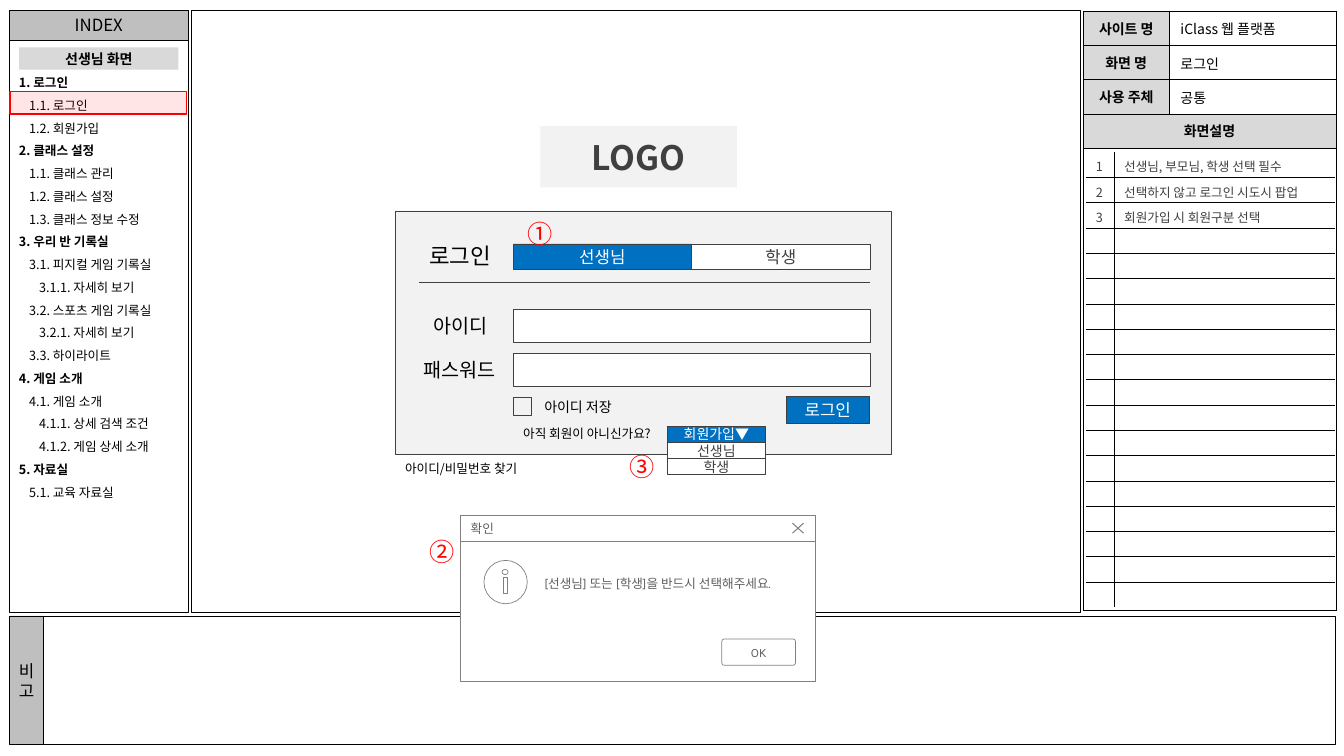
from dataclasses import dataclass
from typing import Optional

from lxml import etree
from pptx import Presentation
from pptx import util as u
from pptx.dml import color as dml
from pptx.enum import shapes, text
from pptx.oxml import ns

COLORS = {
    "black": "000000", "white": "FFFFFF", "red": "FF0000", "blue": "0070C0",
    "ink": "404040", "soft_ink": "5F5F5F", "edge": "808080",
    "bar": "BFBFBF", "head": "D9D9D9", "panel": "F2F2F2",
}
NOTO, KARLA = "Noto Sans CJK KR", "Karla"
RECT, OVAL = shapes.MSO_SHAPE.RECTANGLE, shapes.MSO_SHAPE.OVAL
ROUND = shapes.MSO_SHAPE.ROUNDED_RECTANGLE
LEFT, CENTER = text.PP_ALIGN.LEFT, text.PP_ALIGN.CENTER
TOP, MIDDLE = text.MSO_ANCHOR.TOP, text.MSO_ANCHOR.MIDDLE


@dataclass
class Words:
    content: str
    size: float = 10
    color: str = "black"
    bold: bool = False
    align: int = CENTER
    font: str = NOTO


@dataclass
class Panel:
    at: tuple
    fill: Optional[str] = None
    line: Optional[str] = None
    width: float = 0.5
    words: Optional[Words] = None
    kind: int = RECT
    right_inset: float = 0.1


@dataclass
class Label:
    at: tuple
    words: Words
    wrap: bool = False
    anchor: int = TOP


def rgb(name: str) -> dml.RGBColor:
    return dml.RGBColor.from_string(COLORS[name])


def write(paragraph, words: Words) -> None:
    paragraph.alignment = words.align
    run = paragraph.add_run()
    run.text = words.content
    formats = {"size": u.Pt(words.size), "bold": words.bold, "name": words.font}
    for attribute, value in formats.items():
        setattr(run.font, attribute, value)
    run.font.color.rgb = rgb(words.color)
    east_asian = etree.SubElement(run.font._element, ns.qn("a:ea"))
    east_asian.set("typeface", words.font)


def paint(shape, fill: Optional[str], line: Optional[str], width: float) -> None:
    shape.shadow.inherit = False
    if fill:
        shape.fill.solid()
        shape.fill.fore_color.rgb = rgb(fill)
    else:
        shape.fill.background()
    if line:
        shape.line.color.rgb = rgb(line)
        shape.line.width = u.Pt(width)
    else:
        shape.line.fill.background()


def draw_panel(slide, panel: Panel):
    shape = slide.shapes.add_shape(panel.kind, *map(u.Inches, panel.at))
    paint(shape, panel.fill, panel.line, panel.width)
    if panel.words:
        frame = shape.text_frame
        frame.word_wrap = True
        frame.vertical_anchor = MIDDLE
        frame.margin_right = u.Inches(panel.right_inset)
        write(frame.paragraphs[0], panel.words)
    return shape


def draw_label(slide, label: Label) -> None:
    frame = slide.shapes.add_textbox(*map(u.Inches, label.at)).text_frame
    frame.word_wrap = label.wrap
    frame.vertical_anchor = label.anchor
    if not label.wrap:
        frame.auto_size = text.MSO_AUTO_SIZE.SHAPE_TO_FIT_TEXT
    write(frame.paragraphs[0], label.words)


def fill_cell(cell, fill: Optional[str], sides: str, words: Optional[Words]) -> None:
    if words:
        write(cell.text_frame.paragraphs[0], words)
    else:
        ending = etree.SubElement(cell.text_frame.paragraphs[0]._p, ns.qn("a:endParaRPr"))
        ending.set("sz", "900")
    properties = cell._tc.get_or_add_tcPr()
    for side in "LRTB":
        border = etree.SubElement(properties, ns.qn(f"a:ln{side}"), w=str(u.Pt(0.5)))
        if side in sides:
            solid = etree.SubElement(border, ns.qn("a:solidFill"))
            etree.SubElement(solid, ns.qn("a:srgbClr"), val=COLORS["black"])
        else:
            etree.SubElement(border, ns.qn("a:noFill"))
    if fill:
        cell.fill.solid()
        cell.fill.fore_color.rgb = rgb(fill)
    else:
        cell.fill.background()


def add_grid(slide, at: tuple, columns: list, rows: list):
    grid = slide.shapes.add_table(len(rows), len(columns), *map(u.Inches, at)).table
    grid.first_row = grid.horz_banding = False
    for column, width in zip(grid.columns, columns):
        column.width = u.Inches(width)
    for row, height in zip(grid.rows, rows):
        row.height = u.Inches(height)
    return grid


def draw_site_table(slide) -> None:
    grid = add_grid(slide, (10.74, 0.11, 2.51, 5.95), [0.86, 1.65], [0.34] * 4 + [4.59])
    for row in (3, 4):
        grid.cell(row, 0).merge(grid.cell(row, 1))
    for row, heading in enumerate(["사이트 명", "화면 명", "사용 주체", "화면설명", ""]):
        words = Words(heading, bold=True) if heading else None
        fill_cell(grid.cell(row, 0), "head" if heading else None, "LRTB", words)
        fill_cell(grid.cell(row, 1), None, "LRTB", None)
        grid.cell(row, 0).vertical_anchor = MIDDLE


def draw_notes_table(slide) -> None:
    notes = ["선생님, 부모님, 학생 선택 필수", "선택하지 않고 로그인 시도시 팝업", "회원가입 시 회원구분 선택"]
    count = 18
    grid = add_grid(slide, (10.77, 1.51, 2.47, 4.5), [0.28, 2.19], [0.25] * count)
    for row in range(count):
        pair = (str(row + 1), notes[row]) if row < len(notes) else ("", "")
        rule = ("T" if row else "") + ("B" if row < count - 1 else "")
        for column, content in enumerate(pair):
            words = Words(content, 9, "ink", align=LEFT) if content else None
            fill_cell(grid.cell(row, column), "white", rule + "RL"[column], words)


def draw_index(slide) -> None:
    entries = [
        "1. 로그인", "1.1. 로그인", "1.2. 회원가입", "2. 클래스 설정", "1.1. 클래스 관리",
        "1.2. 클래스 설정", "1.3. 클래스 정보 수정", "3. 우리 반 기록실", "3.1. 피지컬 게임 기록실",
        "3.1.1. 자세히 보기", "3.2. 스포츠 게임 기록실", "3.2.1. 자세히 보기", "3.3. 하이라이트",
        "4. 게임 소개", "4.1. 게임 소개", "4.1.1. 상세 검색 조건", "4.1.2. 게임 상세 소개",
        "5. 자료실", "5.1. 교육 자료실",
    ]
    frame = slide.shapes.add_textbox(*map(u.Inches, (0.09, 0.4, 1.93, 5.68))).text_frame
    frame.word_wrap = True
    frame.margin_top = u.Inches(0.27)
    for position, entry in enumerate(entries):
        paragraph = frame.add_paragraph() if position else frame.paragraphs[0]
        depth = entry.split()[0].count(".") - 1
        paragraph.line_spacing = 1.5
        indent = paragraph._p.get_or_add_pPr()
        indent.set("marL", str(u.Inches(0.1 * depth)))
        indent.set("indent", "0")
        write(paragraph, Words(entry, 9, bold=depth == 0, align=LEFT))


def draw_close_mark(slide) -> None:
    left, top, right, bottom = map(u.Inches, (7.86, 5.19, 7.97, 5.29))
    builder = slide.shapes.build_freeform(right, top)
    builder.add_line_segments([(left, bottom)], close=False)
    builder.move_to(left, top)
    builder.add_line_segments([(right, bottom)], close=False)
    paint(builder.convert_to_shape(), None, "edge", 0.75)


def draw_all(slide, parts: list) -> None:
    for part in parts:
        (draw_panel if isinstance(part, Panel) else draw_label)(slide, part)


def main() -> None:
    deck = Presentation()
    deck.slide_width, deck.slide_height = u.Inches(13.33), u.Inches(7.5)
    slide = deck.slides.add_slide(deck.slide_layouts[6])

    # Page frame, index and site details
    draw_panel(slide, Panel((1.9, 0.1, 8.82, 5.98), line="black"))
    draw_site_table(slide)
    draw_all(slide, [
        Panel((0.09, 0.1, 1.78, 5.98), line="black"),
        Panel((0.09, 6.11, 13.15, 1.28), line="black"),
        Panel((0.09, 0.1, 1.78, 0.3), "bar", "black", words=Words("INDEX", 12)),
        Panel((0.09, 6.11, 0.34, 1.28), "bar", "black", words=Words("비고", 12)),
    ])
    draw_index(slide)
    draw_all(slide, [
        Panel((0.19, 0.47, 1.58, 0.22), "head", words=Words("선생님 화면", bold=True)),
        Label((11.61, 0.15, 1.22, 0.27), Words("iClass 웹 플랫폼", align=LEFT)),
        Label((11.61, 0.48, 1.63, 0.31), Words("로그인", align=LEFT), True, MIDDLE),
        Label((11.61, 0.82, 1.63, 0.31), Words("공통", align=LEFT), True, MIDDLE),
        # Login form
        Panel((5.36, 1.25, 1.95, 0.61), "panel", words=Words("LOGO", 24, "ink", True)),
        Panel((3.92, 2.09, 4.92, 2.42), "panel", "ink", 0.25),
        Label((4.16, 2.35, 0.88, 0.37), Words("로그인", 16, align=LEFT)),
        Label((4.2, 3.07, 0.79, 0.34), Words("아이디", 14, align=LEFT)),
        Label((4.1, 3.5, 0.99, 0.34), Words("패스워드", 14, align=LEFT)),
        Panel((5.09, 3.07, 3.54, 0.33), "white", "ink", 0.25),
        Panel((5.09, 3.5, 3.54, 0.33), "white", "ink", 0.25),
        Panel((5.09, 3.94, 0.18, 0.18), None, "ink", 0.25),
        Label((5.3, 3.9, 0.95, 0.27), Words("아이디 저장", align=LEFT)),
        Panel((7.8, 3.93, 0.82, 0.27), "blue", "ink", 0.25, Words("로그인", 12, "white")),
        Panel((5.09, 2.42, 1.77, 0.25), "blue", "ink", 0.25, Words("선생님", 12, "white")),
        Panel((6.86, 2.42, 1.77, 0.25), "white", "ink", 0.25, Words("학생", 12, "ink")),
        Label((5.09, 4.18, 1.65, 0.25), Words("아직 회원이 아니신가요?", 9, align=LEFT)),
        Label((3.92, 4.52, 1.43, 0.25), Words("아이디/비밀번호 찾기", 9, align=LEFT)),
    ])
    divider = slide.shapes.add_connector(
        shapes.MSO_CONNECTOR.STRAIGHT, *map(u.Inches, (4.16, 2.8, 8.63, 2.8)))
    divider.line.color.rgb = rgb("ink")
    divider.line.width = u.Pt(0.5)
    etree.SubElement(divider._element.spPr, ns.qn("a:effectLst"))

    # Sign-up menu
    for step, choice in enumerate(["회원가입▼", "선생님", "학생"]):
        fill, ink = ("white", "ink") if step else ("blue", "white")
        draw_panel(slide, Panel((6.62, 4.23 + 0.16 * step, 0.97, 0.16), fill, "ink", 0.25,
                                Words(choice, 10, ink)))

    # Current index entry
    highlight = draw_panel(slide, Panel((0.1, 0.91, 1.75, 0.22), "red", "red", 1))
    tint = highlight._element.spPr.find(ns.qn("a:solidFill"))[0]
    etree.SubElement(tint, ns.qn("a:alpha"), val="10000")
    draw_notes_table(slide)

    # Confirmation dialog
    notice = Words("[선생님] 또는 [학생]을 반드시 선택해주세요.", 9, "soft_ink", align=LEFT, font=KARLA)
    draw_all(slide, [
        Panel((4.57, 5.37, 3.52, 1.39), "white", "edge"),
        Label((5.3, 5.66, 2.67, 0.61), notice, True),
        Panel((4.57, 5.11, 3.52, 0.26), "white", "edge",
              words=Words("확인", 9, "soft_ink", align=LEFT, font=KARLA), right_inset=0.25),
        Panel((4.8, 5.56, 0.43, 0.43), None, "edge", kind=OVAL),
        Panel((4.98, 5.65, 0.06, 0.05), None, "edge", kind=OVAL),
        Panel((4.99, 5.73, 0.04, 0.16), None, "edge"),
    ])
    draw_close_mark(slide)
    ok_words = Words("OK", 9, "soft_ink", font=KARLA)
    ok = draw_panel(slide, Panel((7.16, 6.34, 0.73, 0.26), "white", "edge", words=ok_words, kind=ROUND))
    ok.adjustments[0] = 0.09

    # Numbered callouts
    for mark, left, top in [("①", 5.13, 2.12), ("②", 4.16, 5.27), ("③", 6.14, 4.43)]:
        draw_label(slide, Label((left, top, 0.45, 0.4), Words(mark, 18, "red", align=LEFT)))

    deck.save("out.pptx")


if __name__ == "__main__":
    main()
